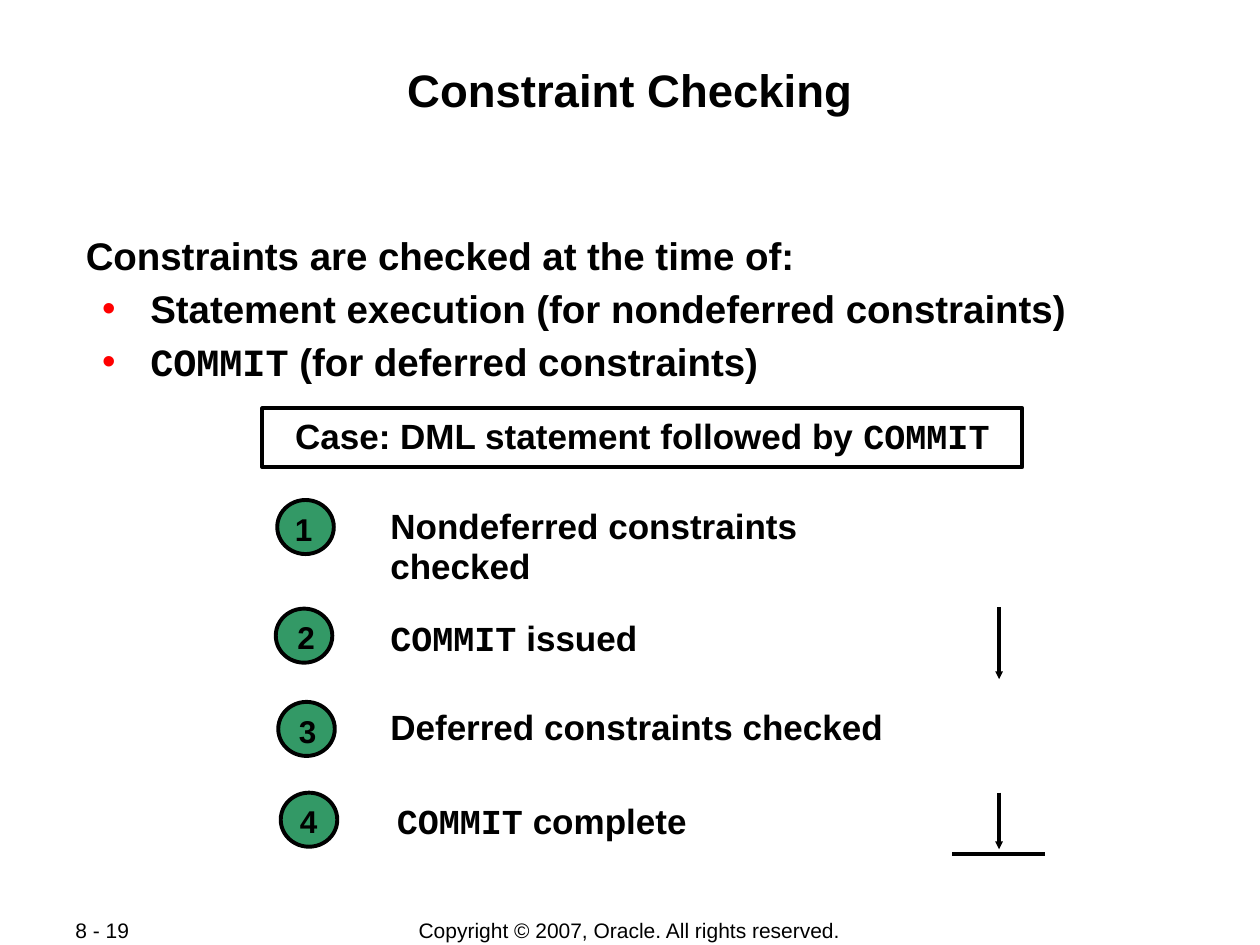
from lxml.etree import SubElement
from pptx import Presentation
from pptx.dml.color import RGBColor
from pptx.enum.shapes import MSO_CONNECTOR, MSO_SHAPE
from pptx.enum.text import MSO_ANCHOR, PP_ALIGN
from pptx.oxml.ns import qn
from pptx.util import Cm, Pt

COLORS = {"ink": "000000", "paper": "FFFFFF", "step": "339966", "bullet": "FF0000"}
SANS, MONO = "Arial", "Courier New"
LINE_WIDTH = Pt(2.25)


def rgb(name):
    return RGBColor.from_string(COLORS[name])


def write(shape, paragraphs, size, bold=True, align=PP_ALIGN.LEFT, bullets_from=None,
          line_spacing=None, **frame_format):
    """Fill a shape with paragraphs, each a list of (text, font) runs."""
    frame = shape.text_frame
    for attribute, value in {"word_wrap": True, **frame_format}.items():
        setattr(frame, attribute, value)
    for index, runs in enumerate(paragraphs):
        paragraph = frame.paragraphs[0] if index == 0 else frame.add_paragraph()
        paragraph.alignment = align
        if line_spacing:
            paragraph.line_spacing = line_spacing
        if index:
            paragraph.space_before = Pt(4)
        if bullets_from is not None and index >= bullets_from:
            paragraph.level = 1
            properties = paragraph._p.get_or_add_pPr()
            properties.set("marL", str(Cm(1.3)))
            properties.set("indent", str(Cm(-0.97)))
            bullet_color = SubElement(properties, qn("a:buClr"))
            SubElement(bullet_color, qn("a:srgbClr"), val=COLORS["bullet"])
            SubElement(properties, qn("a:buFont"), typeface=SANS)
            SubElement(properties, qn("a:buChar"), char="•")
        for text, font_name in runs:
            run = paragraph.add_run()
            run.text = text
            font_format = {"name": font_name, "size": Pt(size), "bold": bold}
            for attribute, value in font_format.items():
                setattr(run.font, attribute, value)
            run.font.color.rgb = rgb("ink")


prs = Presentation()
prs.slide_width, prs.slide_height = Cm(25.4), Cm(19.05)
slide = prs.slides.add_slide(prs.slide_layouts[6])
slide.background.fill.solid()
slide.background.fill.fore_color.rgb = rgb("paper")
shapes = slide.shapes

# Footer
for text, left, width, align in [
    ("Copyright © 2007, Oracle. All rights reserved.", 6.99, 11.4, PP_ALIGN.CENTER),
    ("8 - 19", 1.27, 2.69, PP_ALIGN.JUSTIFY),
]:
    footer = shapes.add_textbox(Cm(left), Cm(18.49), Cm(width), Cm(0.52))
    write(footer, [[(text, SANS)]], 12, bold=False, align=align,
          word_wrap=False, vertical_anchor=MSO_ANCHOR.MIDDLE)

# Title and introduction
thin_margins = {f"margin_{side}": Cm(0.03) for side in ("left", "top", "right", "bottom")}
title = shapes.add_textbox(Cm(1.7), Cm(1.22), Cm(22), Cm(2.44))
write(title, [[("Constraint Checking", SANS)]], 26, align=PP_ALIGN.CENTER, **thin_margins)

introduction = shapes.add_textbox(Cm(1.7), Cm(4.65), Cm(22), Cm(3.23))
write(introduction, [
    [("Constraints are checked at the time of:", SANS)],
    [("Statement execution (for nondeferred constraints)", SANS)],
    [("COMMIT", MONO), (" (for deferred constraints)", SANS)],
], 22, bullets_from=1, **thin_margins)

# Case heading
case = shapes.add_shape(MSO_SHAPE.RECTANGLE, Cm(5.29), Cm(8.23), Cm(15.32), Cm(1.19))
case.shadow.inherit = False
case.fill.background()
case.line.color.rgb = rgb("ink")
case.line.width = LINE_WIDTH
write(case, [[("Case: DML statement followed by ", SANS), ("COMMIT", MONO)]], 20,
      align=PP_ALIGN.CENTER, vertical_anchor=MSO_ANCHOR.TOP)

# Numbered steps: circle left, top; number left; label left, top, width, height; label
steps = [
    (5.59, 10.08, 5.69, 7.62, 10.11, 9.53, 1.85,
     [("Nondeferred constraints checked", SANS)]),
    (5.56, 12.27, 5.74, 7.62, 12.37, 7.47, 1.07, [("COMMIT", MONO), (" issued", SANS)]),
    (5.61, 14.15, 5.77, 7.62, 14.15, 12.7, 1.07, [("Deferred constraints checked", SANS)]),
    (5.66, 15.98, 5.79, 7.75, 16.05, 8.13, 1.07, [("COMMIT", MONO), (" complete", SANS)]),
]
for number, (circle_left, circle_top, number_left, *label_box, label_runs) in enumerate(steps, 1):
    circle = shapes.add_shape(MSO_SHAPE.OVAL, Cm(circle_left), Cm(circle_top),
                              Cm(1.14), Cm(1.09))
    circle.shadow.inherit = False
    circle.fill.solid()
    circle.fill.fore_color.rgb = rgb("step")
    circle.line.color.rgb = rgb("ink")
    circle.line.width = LINE_WIDTH

    digit = shapes.add_textbox(Cm(number_left), Cm(circle_top + 0.07), Cm(0.86), Cm(1.02))
    write(digit, [[(str(number), SANS)]], 18, align=PP_ALIGN.CENTER, word_wrap=False)

    label = shapes.add_textbox(*[Cm(length) for length in label_box])
    write(label, [label_runs], 20, line_spacing=0.95)

# Timeline arrows and closing bar
for start_x, start_y, end_x, end_y, has_arrow in [
    (20.14, 12.24, 20.14, 13.69, True),
    (20.14, 15.98, 20.14, 17.12, True),
    (19.2, 17.22, 21.06, 17.22, False),
]:
    segment = shapes.add_connector(MSO_CONNECTOR.STRAIGHT, Cm(start_x), Cm(start_y),
                                   Cm(end_x), Cm(end_y))
    segment.line.color.rgb = rgb("ink")
    segment.line.width = LINE_WIDTH
    if has_arrow:
        SubElement(segment.line._get_or_add_ln(), qn("a:tailEnd"),
                   type="triangle", w="sm", len="sm")
    SubElement(segment._element.spPr, qn("a:effectLst"))

prs.save("out.pptx")
